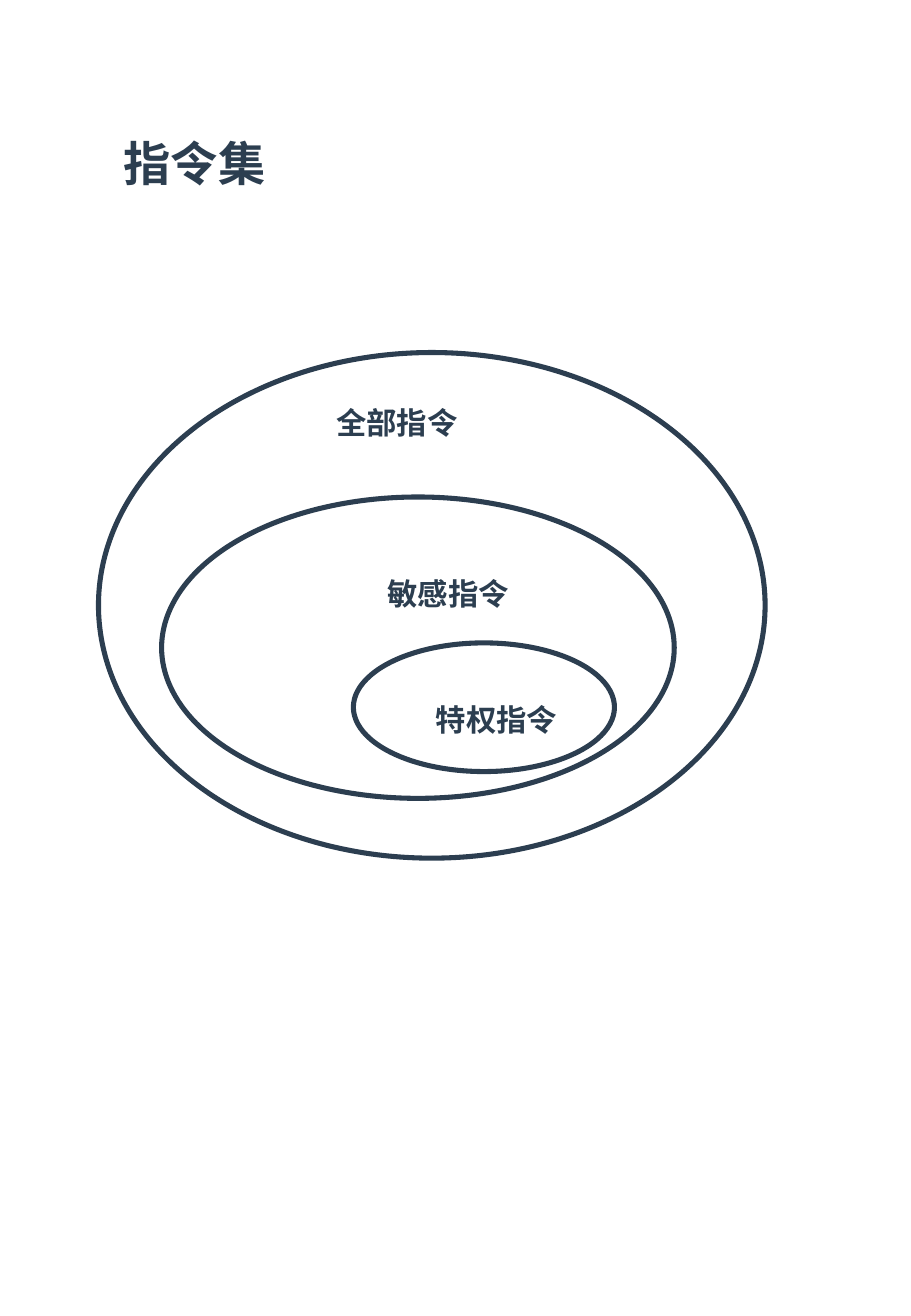
from dataclasses import dataclass
from pptx import Presentation
from pptx.dml.color import RGBColor
from pptx.enum import shapes, text
from pptx.util import Cm, Pt


@dataclass(frozen=True)
class Theme:
    ink: RGBColor = RGBColor(0x2C, 0x3E, 0x50)
    font: str = "Arial"
    title_size: int = 28
    label_size: int = 18
    outline: int = 3


THEME = Theme()

# Content: lengths in cm
TITLE = ("指令集", (2.34, 2.67))
# Outermost set first: name, label corner, ellipse (left, top, width, height)
INSTRUCTION_SETS = [
    ("全部指令", (6.78, 8.31), (2.06, 7.37, 13.94, 10.57)),
    ("敏感指令", (7.85, 11.89), (3.38, 10.39, 10.72, 6.3)),
    ("特权指令", (8.86, 14.53), (7.39, 13.44, 5.46, 2.69)),
]
INSET_X, INSET_Y = Cm(0.25), Cm(0.13)
LINE_HEIGHT = 1.2


def add_ring(slide, frame):
    ring = slide.shapes.add_shape(shapes.MSO_SHAPE.OVAL, *map(Cm, frame))
    ring.shadow.inherit = False
    ring.fill.background()
    ring.line.color.rgb = THEME.ink
    ring.line.width = Pt(THEME.outline)


def add_label(slide, words, corner, size):
    # Each character is one em wide, so the box follows from the text
    width = Pt(size * len(words)) + 2 * INSET_X
    height = Pt(size * LINE_HEIGHT) + 2 * INSET_Y
    label = slide.shapes.add_textbox(*map(Cm, corner), width, height)
    frame = label.text_frame
    frame.margin_left = frame.margin_right = INSET_X
    frame.margin_top = frame.margin_bottom = INSET_Y
    frame.word_wrap = False
    frame.auto_size = text.MSO_AUTO_SIZE.SHAPE_TO_FIT_TEXT
    line = frame.paragraphs[0]
    line.text = words
    line.font.name = THEME.font
    line.font.size = Pt(size)
    line.font.bold = True
    line.font.color.rgb = THEME.ink


def main():
    deck = Presentation()
    deck.slide_width, deck.slide_height = Cm(19.05), Cm(27.51)
    slide = deck.slides.add_slide(deck.slide_layouts[6])

    # Nested sets
    for _, _, ring in INSTRUCTION_SETS:
        add_ring(slide, ring)

    # Set names and title
    for name, corner, _ in INSTRUCTION_SETS:
        add_label(slide, name, corner, THEME.label_size)
    add_label(slide, *TITLE, THEME.title_size)

    deck.save("out.pptx")


if __name__ == "__main__":
    main()
